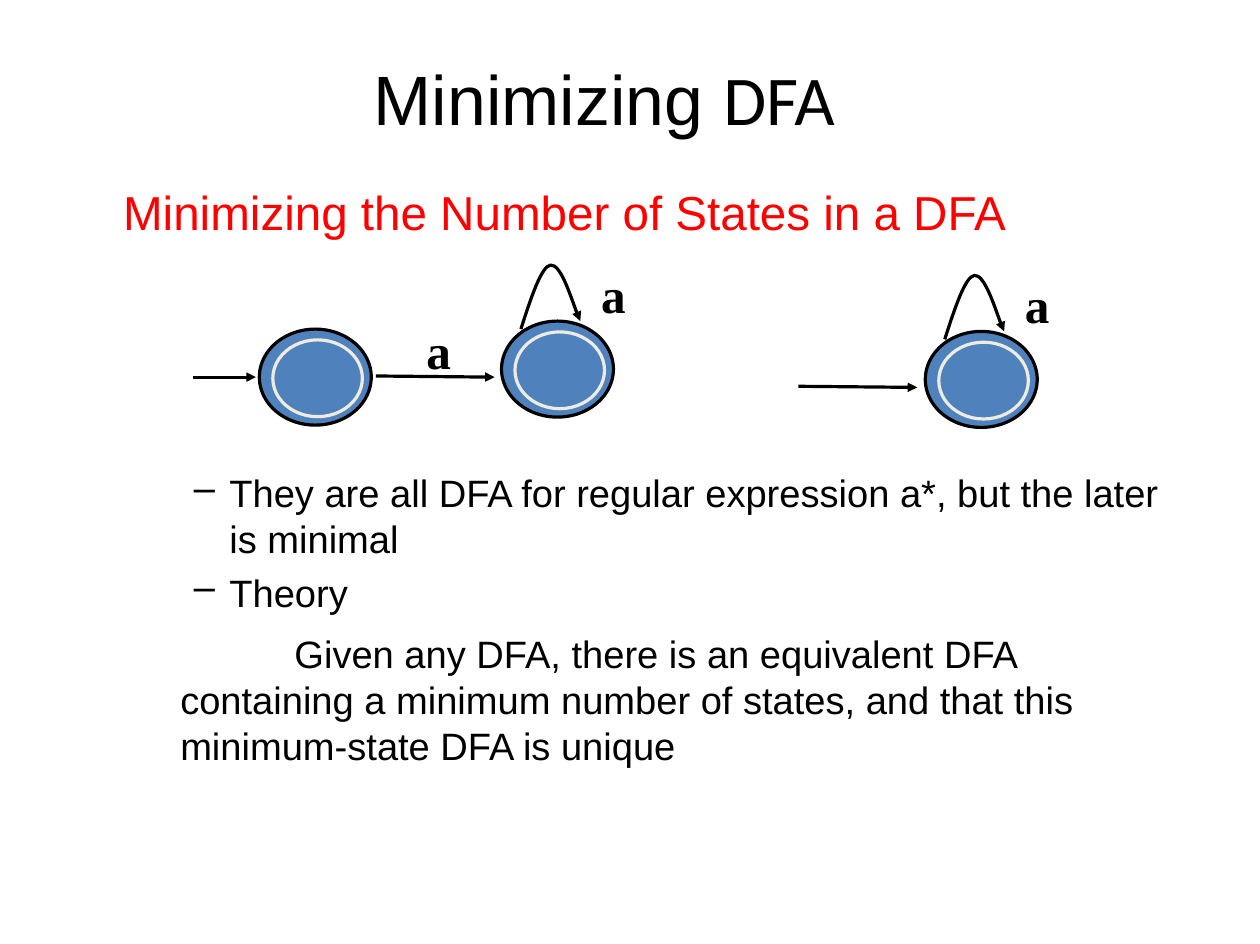
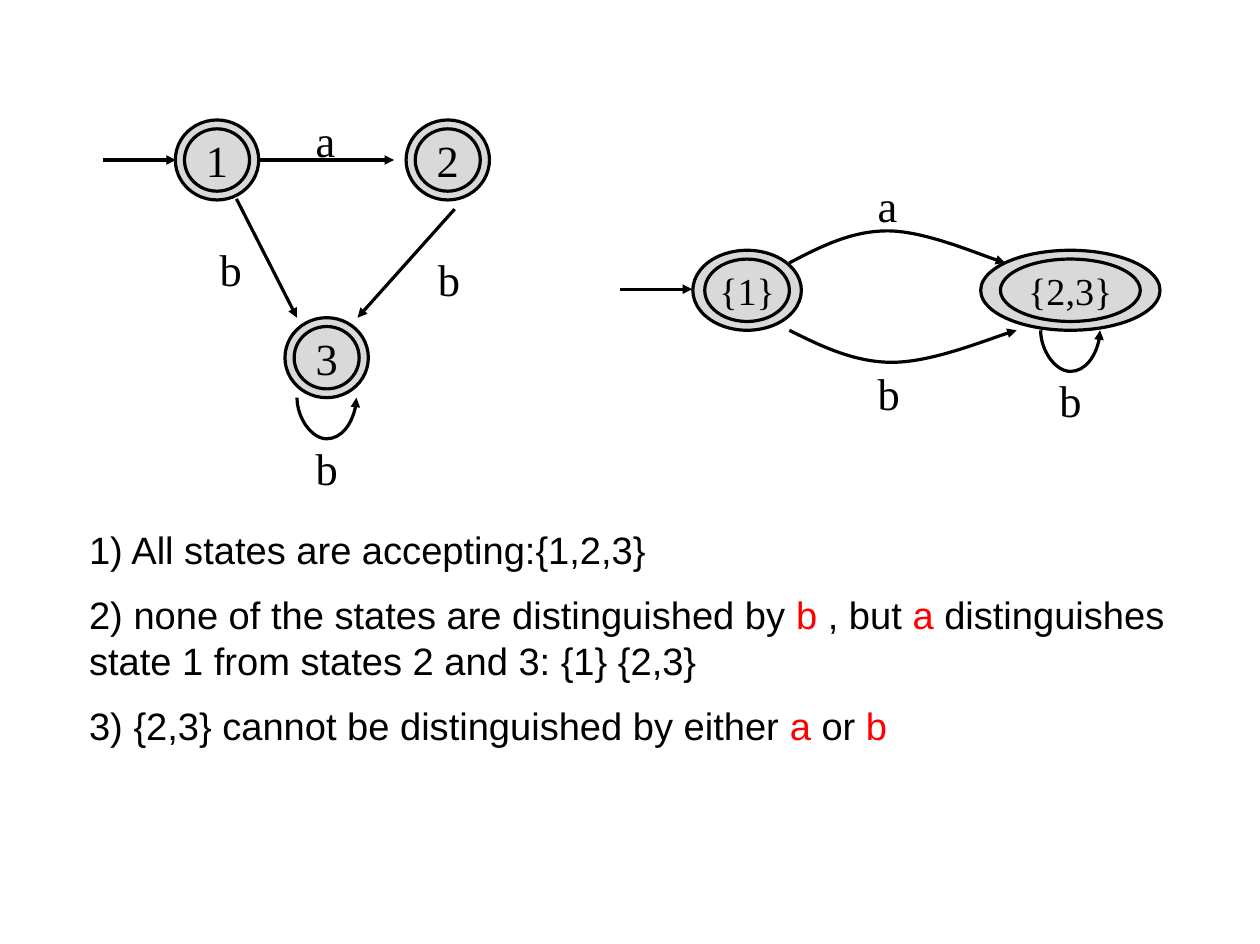
from dataclasses import dataclass

from lxml.etree import SubElement
from pptx import Presentation
from pptx.dml.color import RGBColor
from pptx.enum.shapes import MSO_CONNECTOR, MSO_SHAPE
from pptx.enum.text import MSO_ANCHOR, MSO_AUTO_SIZE, PP_ALIGN
from pptx.oxml.ns import qn
from pptx.util import Inches, Pt


@dataclass(frozen=True)
class Theme:
    ink: RGBColor = RGBColor(0, 0, 0)
    accent: RGBColor = RGBColor(0xFF, 0, 0)
    blue: RGBColor = RGBColor(0x4F, 0x81, 0xBD)
    cream: RGBColor = RGBColor(0xEE, 0xEC, 0xE1)
    grey: RGBColor = RGBColor(0xD9, 0xD9, 0xD9)
    sans: str = "Arial"
    title_alt: str = "Calibri"
    serif: str = "Times New Roman"
    title: int = 44
    subtitle: int = 30
    body: int = 24
    label: int = 28
    bold_label: int = 31
    set_name: int = 24
    line: int = 2


@dataclass(frozen=True)
class StateStyle:
    fill: RGBColor
    ring: RGBColor
    ratio: float      # inner ring size relative to the outer one
    shift: tuple      # inner ring centre relative to the outer one


THEME = Theme()
BLUE_STATE = StateStyle(THEME.blue, THEME.cream, 0.8, (0.02, 0.01))
GREY_STATE = StateStyle(THEME.grey, THEME.ink, 0.78, (0, 0))


# Text
def add_run(paragraph, text, size, font=THEME.sans, color=THEME.ink, bold=False):
    run = paragraph.add_run()
    run.text = text
    run.font.size = Pt(size)
    run.font.name = font
    run.font.bold = bold
    run.font.color.rgb = color


def set_frame(frame, margins=(0.1, 0.05, 0.1, 0.05), anchor=MSO_ANCHOR.TOP, wrap=True):
    frame.auto_size = MSO_AUTO_SIZE.NONE
    frame.word_wrap = wrap
    frame.vertical_anchor = anchor
    (frame.margin_left, frame.margin_top,
     frame.margin_right, frame.margin_bottom) = map(Inches, margins)
    return frame


def add_text(shapes, box, **frame_options):
    return set_frame(shapes.add_textbox(*map(Inches, box)).text_frame, **frame_options)


def next_paragraph(frame, space):
    """Return the empty first paragraph, or a new one set off by space points."""
    if not frame.paragraphs[0].runs:
        return frame.paragraphs[0]
    paragraph = frame.add_paragraph()
    paragraph.space_before = Pt(space)
    return paragraph


def indent(paragraph, left, first, bullet=None):
    properties = paragraph._p.get_or_add_pPr()
    properties.set("marL", str(Inches(left)))
    properties.set("indent", str(Inches(first)))
    if bullet:
        SubElement(properties, qn("a:buChar")).set("char", bullet)


def add_label(shapes, x, y, text, size=THEME.label, bold=False):
    width, height = 0.6, 0.57
    frame = add_text(shapes, (x - width / 2, y - height / 2, width, height),
                     anchor=MSO_ANCHOR.MIDDLE)
    frame.paragraphs[0].alignment = PP_ALIGN.CENTER
    add_run(frame.paragraphs[0], text, size, THEME.serif, bold=bold)


# Arrows
def set_arrow(shape):
    shape.line.color.rgb = THEME.ink
    shape.line.width = Pt(THEME.line)
    SubElement(shape.element.spPr.get_or_add_ln(), qn("a:tailEnd")).set("type", "triangle")


def add_arrow(shapes, start, end):
    arrow = shapes.add_connector(MSO_CONNECTOR.STRAIGHT, *map(Inches, start + end))
    set_arrow(arrow)
    SubElement(arrow.element.spPr, qn("a:effectLst"))


def add_curve(shapes, points, origin=(0, 0)):
    """Draw a Bezier arrow: a start point, then three points for each segment."""
    start, *rest = [(Inches(origin[0] + x), Inches(origin[1] + y)) for x, y in points]
    builder = shapes.build_freeform(*start)
    builder.add_line_segments(rest, close=False)
    curve = builder.convert_to_shape()
    outline = next(curve.element.iter(qn("a:path")))
    corners = outline.findall(qn("a:lnTo"))
    for first in range(0, len(corners), 3):
        segment = SubElement(outline, qn("a:cubicBezTo"))
        for corner in corners[first:first + 3]:
            segment.append(corner[0])
            outline.remove(corner)
    curve.fill.background()
    curve.shadow.inherit = False
    set_arrow(curve)


# States
def add_ellipse(shapes, x, y, width, height, fill, line):
    ellipse = shapes.add_shape(MSO_SHAPE.OVAL, Inches(x - width / 2), Inches(y - height / 2),
                               Inches(width), Inches(height))
    ellipse.shadow.inherit = False
    ellipse.fill.solid()
    ellipse.fill.fore_color.rgb = fill
    ellipse.line.color.rgb = line
    ellipse.line.width = Pt(THEME.line)
    return ellipse


def add_state(shapes, center, size, style, name=None, name_size=THEME.label):
    (x, y), (width, height), (dx, dy) = center, size, style.shift
    add_ellipse(shapes, x, y, width, height, style.fill, THEME.ink)
    ring = add_ellipse(shapes, x + dx, y + dy, width * style.ratio, height * style.ratio,
                       style.fill, style.ring)
    if name:
        frame = set_frame(ring.text_frame, (0, 0, 0, 0), MSO_ANCHOR.MIDDLE, wrap=False)
        frame.paragraphs[0].alignment = PP_ALIGN.CENTER
        add_run(frame.paragraphs[0], name, name_size, THEME.serif)


def add_top_loop(shapes, center):
    add_curve(shapes, [(-0.32, -0.35), (-0.23, -0.63), (-0.14, -0.9), (-0.06, -0.91),
                       (0.03, -0.92), (0.16, -0.5), (0.2, -0.42)], center)
    add_label(shapes, center[0] + 0.49, center[1] - 0.66, "a", THEME.bold_label, True)


def add_bottom_loop(shapes, center):
    add_curve(shapes, [(-0.26, 0.35), (-0.26, 0.53), (-0.13, 0.71), (0, 0.71),
                       (0.13, 0.71), (0.26, 0.53), (0.26, 0.35)], center)
    add_label(shapes, center[0], center[1] + 0.96, "b")


# Slides
def build_minimizing(deck):
    slide = deck.slides.add_slide(deck.slide_layouts[5])

    # Title and subtitle
    title = slide.shapes.title
    title.left, title.top, title.width, title.height = map(Inches, (0.73, 0.51, 9.26, 0.77))
    heading = set_frame(title.text_frame, (0, 0, 0, 0.05), MSO_ANCHOR.MIDDLE).paragraphs[0]
    heading.alignment = PP_ALIGN.CENTER
    heading.line_spacing = Pt(51)
    add_run(heading, "Minimizing ", THEME.title)
    add_run(heading, "DFA ", THEME.title, THEME.title_alt)
    subtitle = add_text(slide.shapes, (0.98, 1.61, 8.53, 0.56)).paragraphs[0]
    subtitle.line_spacing = 0.9
    add_run(subtitle, "Minimizing the Number of States in a DFA", THEME.subtitle,
            color=THEME.accent)

    # Two-state automaton and its minimal form
    size = (0.98, 0.84)
    two_states = slide.shapes.add_group_shape().shapes
    add_state(two_states, (2.76, 3.3), size, BLUE_STATE)
    add_arrow(two_states, (1.69, 3.3), (2.24, 3.3))
    add_arrow(two_states, (3.29, 3.29), (4.33, 3.3))
    add_label(two_states, 3.84, 3.06, "a", THEME.bold_label, True)
    minimal = slide.shapes.add_group_shape().shapes
    add_arrow(minimal, (6.99, 3.38), (8.03, 3.39))
    for automaton, center in ((two_states, (4.88, 3.23)), (minimal, (8.59, 3.32))):
        add_state(automaton, center, size, BLUE_STATE)
        add_top_loop(automaton, center)

    # Explanation
    body = add_text(slide.shapes, (1.1, 4.06, 9.37, 3.76))
    for point in ("They are all DFA for regular expression a*, but the later is minimal",
                  "Theory"):
        paragraph = next_paragraph(body, 5)
        indent(paragraph, 0.81, -0.31, "–")
        add_run(paragraph, point, THEME.body)
    theorem = next_paragraph(body, 10)
    indent(theorem, 0.38, 1)
    add_run(theorem, "Given any DFA, there is an equivalent DFA containing a minimum number "
                     "of states, and that this minimum-state DFA is unique", THEME.body)


def build_example(deck):
    slide = deck.slides.add_slide(deck.slide_layouts[6])

    # Automaton with three states
    full = slide.shapes.add_group_shape().shapes
    centers = {"1": (1.9, 1.4), "2": (3.92, 1.4), "3": (2.86, 3.13)}
    for name, center in centers.items():
        add_state(full, center, (0.73, 0.7), GREY_STATE, name)
    for start, end in (((0.9, 1.4), (1.54, 1.4)), ((2.28, 1.4), (3.45, 1.4)),
                       ((2.07, 1.74), (2.6, 2.78)), ((3.98, 1.83), (3.13, 2.78))):
        add_arrow(full, start, end)
    for x, y, symbol in ((2.85, 1.22, "a"), (3.93, 2.44, "b"), (2.02, 2.35, "b")):
        add_label(full, x, y, symbol)
    add_bottom_loop(full, centers["3"])

    # Merged automaton
    merged = slide.shapes.add_group_shape().shapes
    first, rest = (6.54, 2.54), (9.37, 2.54)
    add_state(merged, first, (0.95, 0.7), GREY_STATE, "{1}", THEME.set_name)
    add_state(merged, rest, (1.57, 0.7), GREY_STATE, "{2,3}", THEME.set_name)
    add_arrow(merged, (5.43, 2.53), (6.06, 2.53))
    add_curve(merged, [(6.91, 2.3), (7.18, 2.16), (7.45, 2.02), (7.77, 2.02),
                       (8.08, 2.02), (8.63, 2.25), (8.8, 2.3)])
    add_curve(merged, [(6.91, 2.89), (7.19, 3.03), (7.48, 3.17), (7.81, 3.17),
                       (8.15, 3.17), (8.72, 2.94), (8.9, 2.89)])
    add_label(merged, 7.77, 1.79, "a")
    add_label(merged, 7.78, 3.44, "b")
    add_bottom_loop(merged, rest)

    # Steps, with the input symbols in the accent colour
    steps = add_text(slide.shapes, (0.67, 4.55, 9.69, 2.13), margins=(0.11, 0.06, 0.11, 0.06))
    ink, accent = THEME.ink, THEME.accent
    for runs in (
        [("1) All states are accepting:{1,2,3}", ink)],
        [("2) none of the states are distinguished by ", ink), ("b ", accent), (", but ", ink),
         ("a", accent), (" distinguishes state 1 from states 2 and 3: {1} {2,3}", ink)],
        [("3) {2,3} cannot be distinguished by either ", ink), ("a", accent), (" or ", ink),
         ("b", accent)],
    ):
        paragraph = next_paragraph(steps, 12)
        for text, color in runs:
            add_run(paragraph, text, THEME.body, color=color)


def main():
    deck = Presentation()
    deck.slide_width, deck.slide_height = Inches(11.03), Inches(8.26)
    build_minimizing(deck)
    build_example(deck)
    deck.save("out.pptx")


main()
